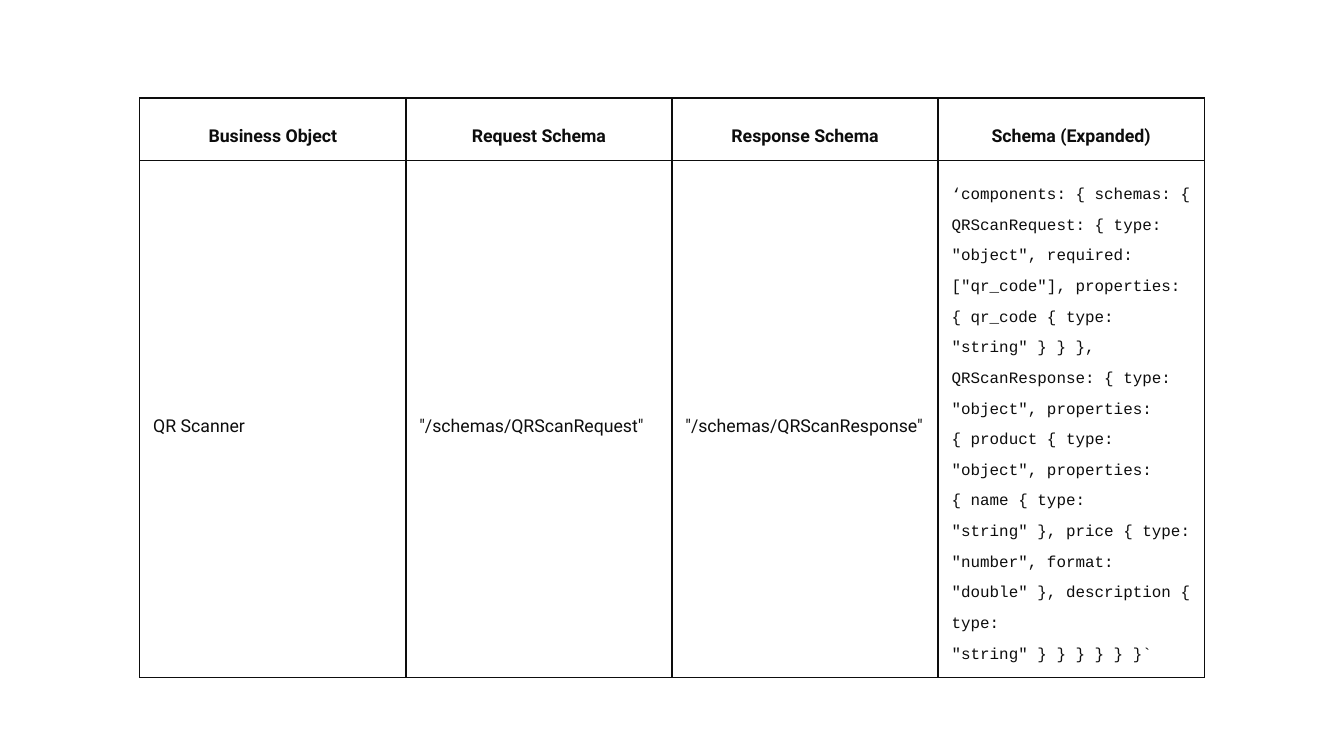
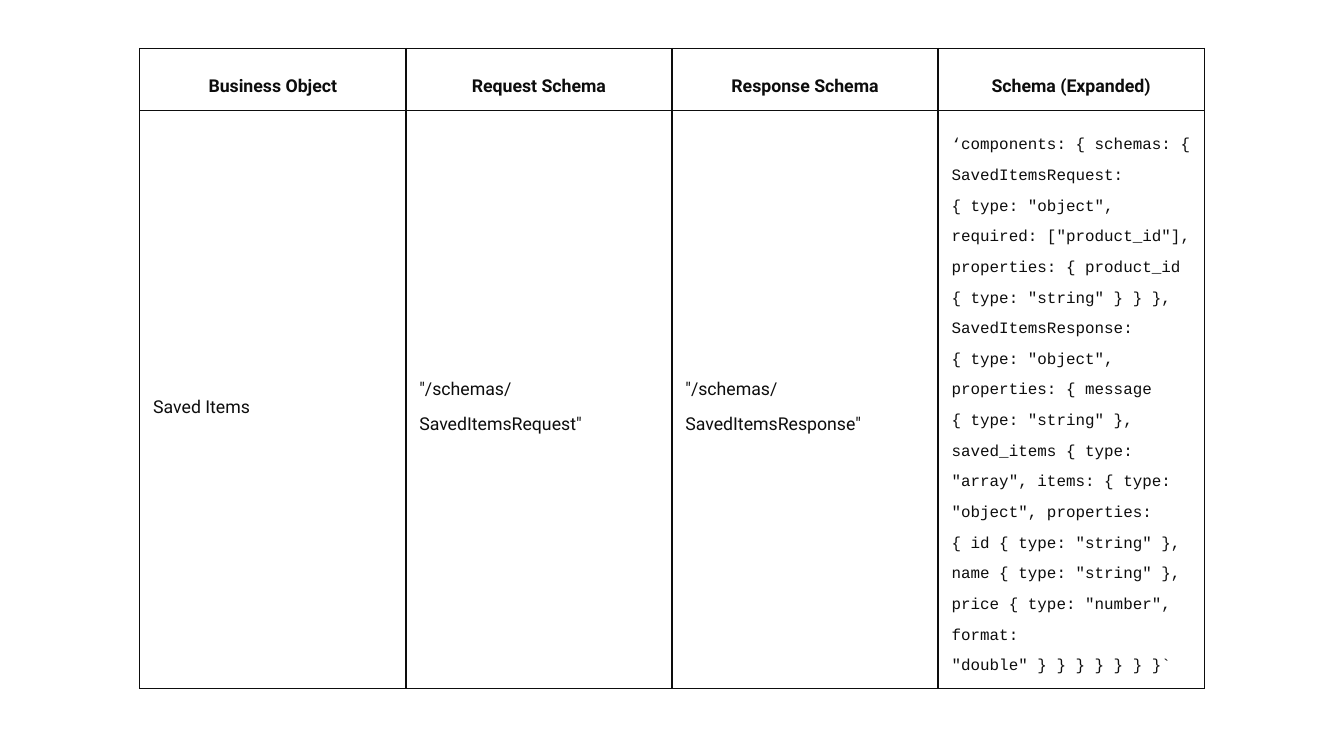
from dataclasses import dataclass

from lxml.etree import SubElement
from pptx import Presentation
from pptx.dml.color import RGBColor
from pptx.enum.text import MSO_ANCHOR as Anchor, PP_ALIGN as Align
from pptx.oxml import parse_xml
from pptx.oxml.ns import nsdecls, qn
from pptx.slide import Slide
from pptx.table import _Cell as Cell
from pptx.util import Inches, Length, Pt


@dataclass(frozen=True)
class Theme:
    ink: RGBColor = RGBColor(0x0D, 0x0D, 0x0D)
    paper: RGBColor = RGBColor(0xFF, 0xFF, 0xFF)
    body_font: str = "Roboto"
    code_font: str = "Courier New"
    body_size: Length = Pt(9.5)
    code_size: Length = Pt(8.5)
    line_spacing: float = 1.71
    border_width: Length = Pt(0.75)
    cell_margin: Length = Inches(0.1)


@dataclass(frozen=True)
class SchemaEntry:
    top: Length
    header_height: Length
    body_height: Length
    business_object: str
    request_schema: str
    response_schema: str
    expanded_schema: str


THEME = Theme()
SLIDE_WIDTH = Inches(10)
SLIDE_HEIGHT = Inches(10 * 9 / 16)
TABLE_LEFT = Inches(1.04)
COLUMN_WIDTH = Inches(1.98)
HEADINGS = ("Business Object", "Request Schema", "Response Schema", "Schema (Expanded)")

ENTRIES = (
    SchemaEntry(
        Inches(0.73), Inches(0.43), Inches(3.66),
        "QR Scanner",
        '"/schemas/QRScanRequest"',
        '"/schemas/QRScanResponse"',
        '‘components: { schemas: { QRScanRequest: { type: "object", '
        'required: ["qr_code"], properties: { qr_code { type: "string" } } }, '
        'QRScanResponse: { type: "object", properties: { product { type: "object", '
        'properties: { name { type: "string" }, price { type: "number", '
        'format: "double" }, description { type: "string" } } } } } }`',
    ),
    SchemaEntry(
        Inches(0.36), Inches(0.44), Inches(3.68),
        "Saved Items",
        '"/schemas/SavedItemsRequest"',
        '"/schemas/SavedItemsResponse"',
        '‘components: { schemas: { SavedItemsRequest: { type: "object", '
        'required: ["product_id"], properties: { product_id { type: "string" } } }, '
        'SavedItemsResponse: { type: "object", properties: { message { type: "string" }, '
        'saved_items { type: "array", items: { type: "object", '
        'properties: { id { type: "string" }, name { type: "string" }, '
        'price { type: "number", format: "double" } } } } } } }`',
    ),
)


def write_text(
    cell: Cell,
    text: str,
    *,
    font: str = THEME.body_font,
    size: Length = THEME.body_size,
    bold: bool = False,
    align: Align = Align.LEFT,
    anchor: Anchor = Anchor.MIDDLE,
) -> None:
    cell.vertical_anchor = anchor
    paragraph = cell.text_frame.paragraphs[0]
    paragraph.alignment = align
    paragraph.line_spacing = THEME.line_spacing
    run = paragraph.add_run()
    run.text = text
    run.font.size = size
    run.font.bold = bold
    run.font.color.rgb = THEME.ink
    run.font.name = font
    highlight = parse_xml(f"<a:highlight {nsdecls('a')}/>")
    SubElement(highlight, qn("a:srgbClr"), val=str(THEME.paper))
    run.font._element.find(qn("a:latin")).addprevious(highlight)


def style_cell(cell: Cell) -> None:
    cell.margin_left = cell.margin_right = THEME.cell_margin
    cell.margin_top = cell.margin_bottom = THEME.cell_margin
    cell.fill.background()
    properties = cell._tc.get_or_add_tcPr()
    for position, side in enumerate(("lnL", "lnR", "lnT", "lnB")):
        border = parse_xml(
            f'<a:{side} {nsdecls("a")} w="{THEME.border_width}">'
            f'<a:solidFill><a:srgbClr val="{THEME.ink}"/></a:solidFill></a:{side}>'
        )
        properties.insert(position, border)


def add_schema_table(slide: Slide, entry: SchemaEntry) -> None:
    table = slide.shapes.add_table(
        2, len(HEADINGS), TABLE_LEFT, entry.top,
        COLUMN_WIDTH * len(HEADINGS), entry.header_height + entry.body_height,
    ).table
    table.first_row = table.horz_banding = False
    for column in table.columns:
        column.width = COLUMN_WIDTH
    table.rows[0].height = entry.header_height
    table.rows[1].height = entry.body_height
    for cell in table.iter_cells():
        style_cell(cell)

    for index, heading in enumerate(HEADINGS):
        write_text(table.cell(0, index), heading,
                   bold=True, align=Align.CENTER, anchor=Anchor.BOTTOM)
    summary = (entry.business_object, entry.request_schema, entry.response_schema)
    for index, value in enumerate(summary):
        write_text(table.cell(1, index), value)
    write_text(table.cell(1, len(summary)), entry.expanded_schema,
               font=THEME.code_font, size=THEME.code_size)


def main() -> None:
    deck = Presentation()
    deck.slide_width = SLIDE_WIDTH
    deck.slide_height = SLIDE_HEIGHT
    blank_layout = deck.slide_layouts[6]
    for entry in ENTRIES:
        slide = deck.slides.add_slide(blank_layout)
        slide.background.fill.solid()
        slide.background.fill.fore_color.rgb = THEME.paper
        add_schema_table(slide, entry)
    deck.save("out.pptx")


if __name__ == "__main__":
    main()
